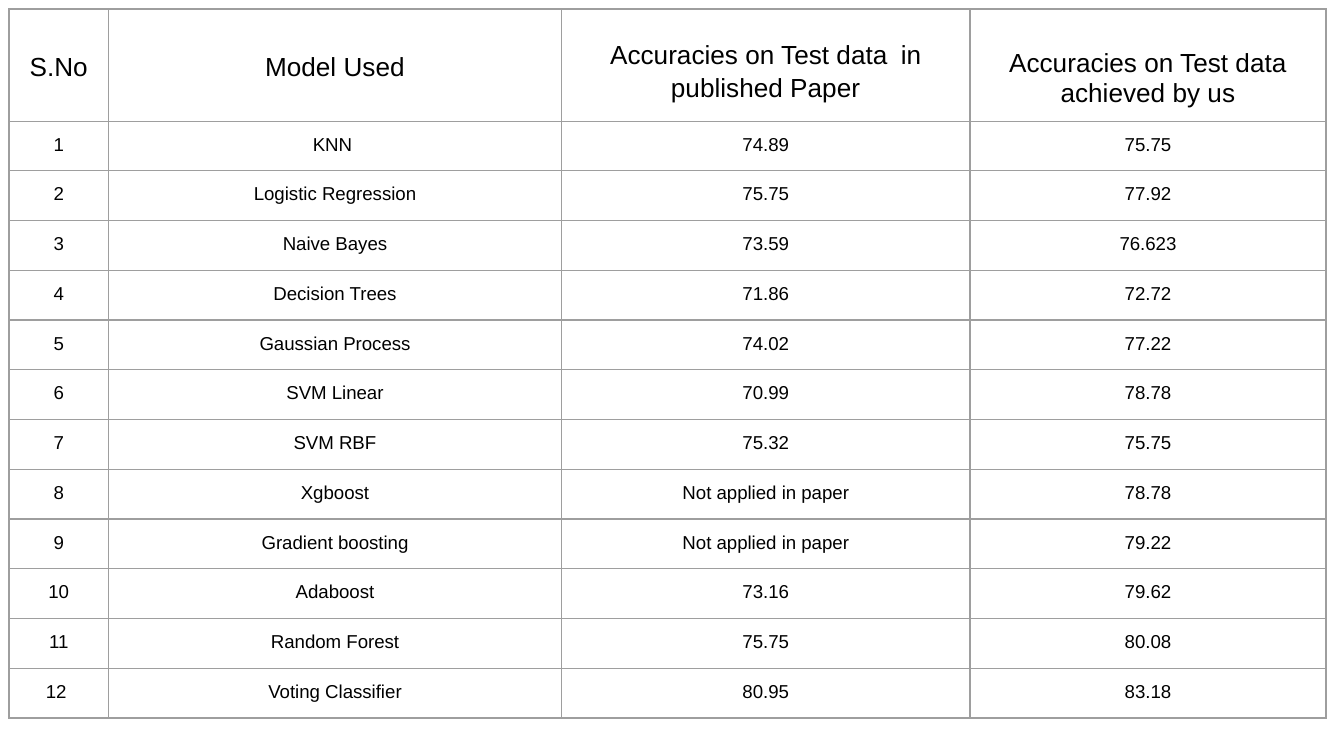
"""Builds a slide with a table of model accuracies, published and achieved."""
from lxml import etree
from pptx import Presentation
from pptx.dml.color import RGBColor
from pptx.enum import text
from pptx.oxml import ns
from pptx.util import Cm, Pt

BLACK = RGBColor(0x00, 0x00, 0x00)
GREY = RGBColor(0x9E, 0x9E, 0x9E)

WIDTHS = [1.88, 8.56, 7.72, 6.73]
HEAD, ROW = 2.12, 0.94
INSET, DROP = 0.25, 0.82

HEADS = ["S.No", "Model Used", "Accuracies on Test data", "Accuracies on Test data achieved by us"]
MODELS = [
    ("1", "KNN ", "74.89", "75.75"),
    ("2", "Logistic Regression", "75.75", "77.92"),
    ("3", "Naive Bayes", "73.59", "76.623"),
    ("4", "Decision Trees", "71.86", "72.72"),
    ("5", "Gaussian Process", "74.02", "77.22"),
    ("6", "SVM Linear", "70.99", "78.78"),
    ("7", "SVM RBF", "75.32", "75.75"),
    ("8", "Xgboost", "Not applied in paper", "78.78"),
    ("9", "Gradient boosting", "Not applied in paper", "79.22"),
    ("10", "Adaboost", "73.16", "79.62"),
    ("11", "Random Forest", "75.75", "80.08"),
    ("12 ", "Voting Classifier", "80.95", "83.18"),
]


def border(cell):
    """Draws a thin grey line on each side of a cell."""
    props = cell._tc.get_or_add_tcPr()
    for i, side in enumerate(("lnL", "lnR", "lnT", "lnB")):
        line = etree.Element(ns.qn(f"a:{side}"), w=str(Pt(0.75)))
        fill = etree.SubElement(line, ns.qn("a:solidFill"))
        etree.SubElement(fill, ns.qn("a:srgbClr"), val=str(GREY))
        props.insert(i, line)


prs = Presentation()
prs.slide_width, prs.slide_height = Cm(25.4), Cm(14.29)
slide = prs.slides.add_slide(prs.slide_layouts[6])

rows = [HEADS] + MODELS
frame = slide.shapes.add_table(
    len(rows), len(WIDTHS), Cm(0.17), Cm(0.17), Cm(sum(WIDTHS)), Cm(HEAD + ROW * len(MODELS)))
table = frame.table
table.first_row = table.horz_banding = False
for col, width in zip(table.columns, WIDTHS):
    col.width = Cm(width)

for r, row in enumerate(rows):
    table.rows[r].height = Cm(ROW if r else HEAD)
    for c, word in enumerate(row):
        cell = table.cell(r, c)
        cell.fill.background()
        border(cell)
        cell.margin_left = cell.margin_right = Cm(INSET)
        cell.margin_top = cell.margin_bottom = Cm(INSET)
        cell.text = word
        para = cell.text_frame.paragraphs[0]
        para.alignment = text.PP_ALIGN.CENTER
        para.font.name = "Arial"
        para.font.size = Pt(10 if r else 14)
        para.font.color.rgb = BLACK

for c in (0, 1):
    table.cell(0, c).margin_top = Cm(DROP)
table.cell(0, 3).vertical_anchor = text.MSO_ANCHOR.BOTTOM

para = table.cell(0, 2).text_frame.paragraphs[0]
for word, size in ((" ", 25), ("in published Paper", 14)):
    run = para.add_run()
    run.text = word
    run.font.size = Pt(size)

prs.save("out.pptx")
